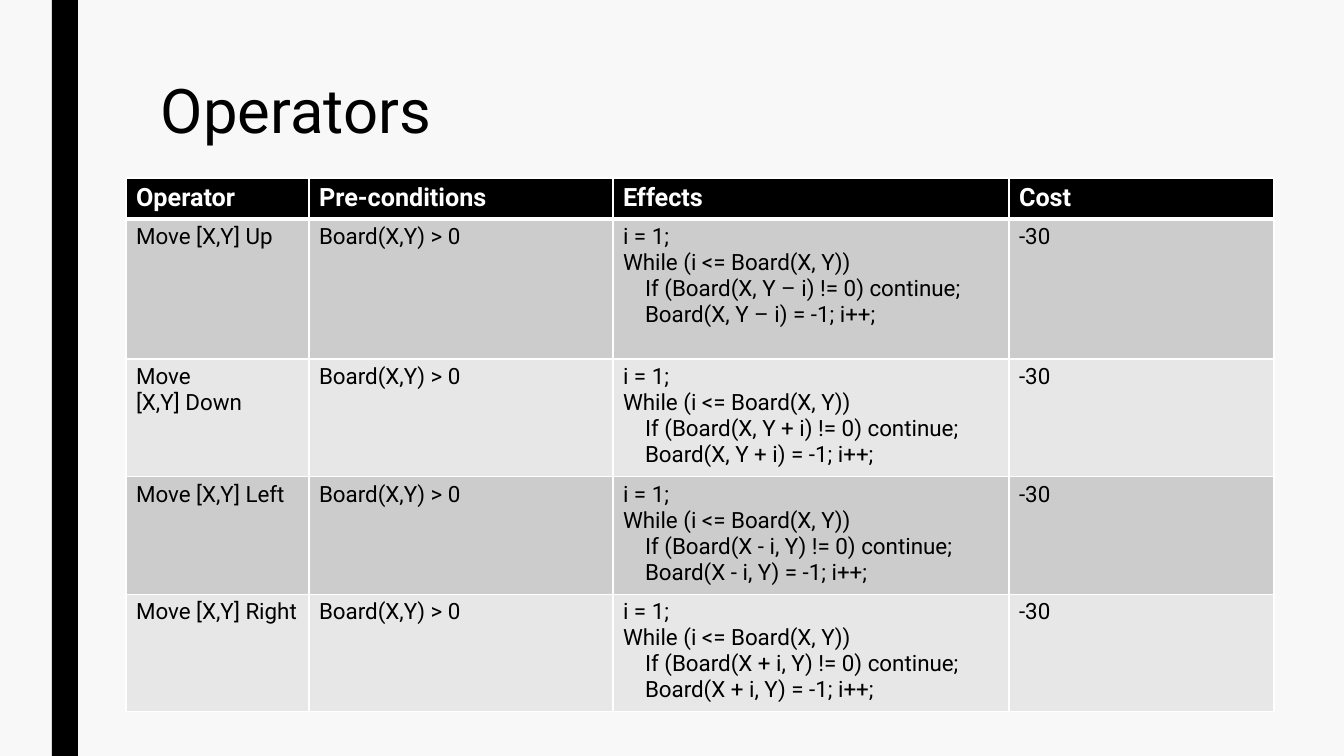
from lxml import etree
from pptx import Presentation
from pptx import util as u
from pptx.dml.color import RGBColor
from pptx.enum import shapes, text
from pptx.oxml import ns

PX = 914400 / 100.8
FONT = "Roboto"
NBSP = chr(160)
BLACK = RGBColor(0x00, 0x00, 0x00)
WHITE = RGBColor(0xFF, 0xFF, 0xFF)
PAPER = RGBColor(0xF8, 0xF8, 0xF8)
DARK_BAND = RGBColor(0xCC, 0xCC, 0xCC)
LIGHT_BAND = RGBColor(0xE7, 0xE7, 0xE7)

HEADINGS = ["Operator", "Pre-conditions", "Effects", "Cost"]
MOVES = [("Up", "X, Y – i"), ("Down", "X, Y + i"),
         ("Left", "X - i, Y"), ("Right", "X + i, Y")]
COLUMN_WIDTHS = [183, 304, 396, 265]
ROW_HEIGHTS = [41, 140, 114, 114, 114]
CODE_INDENT = 22


def px(length):
    return u.Emu(round(length * PX))


def write(paragraph, words, **values):
    run = paragraph.add_run()
    run.text = words
    run.font.color.rgb = values.pop("color", BLACK)
    for name, value in {"name": FONT, "bold": False, **values}.items():
        setattr(run.font, name, value)


def add_border(cell, side, points):
    line = etree.SubElement(cell._tc.get_or_add_tcPr(), ns.qn("a:ln" + side),
                            w=str(u.Pt(points)))
    fill = etree.SubElement(line, ns.qn("a:solidFill"))
    etree.SubElement(fill, ns.qn("a:srgbClr"), val=str(WHITE))


def fill_cell(cell, lines, row):
    # Borders precede the fill; a thicker rule sits under the header
    thick_side = {0: "B", 1: "T"}.get(row)
    for side in "LRTB":
        add_border(cell, side, 3 if side == thick_side else 1)
    header = row == 0
    cell.fill.solid()
    cell.fill.fore_color.rgb = (BLACK if header else
                                DARK_BAND if row % 2 else LIGHT_BAND)
    style = ({"size": u.Pt(18), "bold": True, "color": WHITE} if header
             else {"size": u.Pt(16)})
    frame = cell.text_frame
    for index, (words, indent) in enumerate(lines):
        paragraph = frame.add_paragraph() if index else frame.paragraphs[0]
        if indent:
            paragraph._p.get_or_add_pPr().set("marL", str(px(indent)))
        write(paragraph, words, **style)


def add_side_bar(slide, left, top, width, height):
    bar = slide.shapes.add_shape(shapes.MSO_SHAPE.RECTANGLE,
                                 px(left), px(top), px(width), px(height))
    bar.shadow.inherit = False
    bar.fill.solid()
    bar.fill.fore_color.rgb = BLACK
    bar.line.fill.background()


def add_title(slide, left, top, width, height):
    box = slide.shapes.add_textbox(px(left), px(top), px(width), px(height))
    frame = box.text_frame
    for name, value in {"word_wrap": True,
                        "vertical_anchor": text.MSO_ANCHOR.TOP}.items():
        setattr(frame, name, value)
    frame.paragraphs[0].line_spacing = 0.89
    write(frame.paragraphs[0], "Operators", size=u.Pt(44))


def operator_row(direction, target):
    effects = [("i = 1;", 0),
               ("While (i <= Board(X, Y))", 0),
               (f"If (Board({target}) != 0) continue;", CODE_INDENT),
               (f"Board({target}) = -1; i++;", CODE_INDENT)]
    return [[(f"Move [X,Y]{NBSP}{direction}", 0)],
            [("Board(X,Y) > 0", 0)], effects, [("-30", 0)]]


def add_operator_table(slide, left, top):
    rows = [[[(heading, 0)] for heading in HEADINGS]]
    rows += [operator_row(*move) for move in MOVES]
    table = slide.shapes.add_table(
        len(rows), len(HEADINGS), px(left), px(top),
        px(sum(COLUMN_WIDTHS)), px(sum(ROW_HEIGHTS))).table
    for column, width in zip(table.columns, COLUMN_WIDTHS):
        column.width = px(width)
    for row, height in zip(table.rows, ROW_HEIGHTS):
        row.height = px(height)
    for row, cells in enumerate(rows):
        for column, lines in enumerate(cells):
            fill_cell(table.cell(row, column), lines, row)


def main():
    presentation = Presentation()
    presentation.slide_width, presentation.slide_height = px(1344), px(756)
    slide = presentation.slides.add_slide(presentation.slide_layouts[6])
    slide.background.fill.solid()
    slide.background.fill.fore_color.rgb = PAPER
    add_side_bar(slide, 52, 0, 26, 756)
    add_title(slide, 151, 76, 1058, 163)
    add_operator_table(slide, 126, 178)
    presentation.save("out.pptx")


if __name__ == "__main__":
    main()
